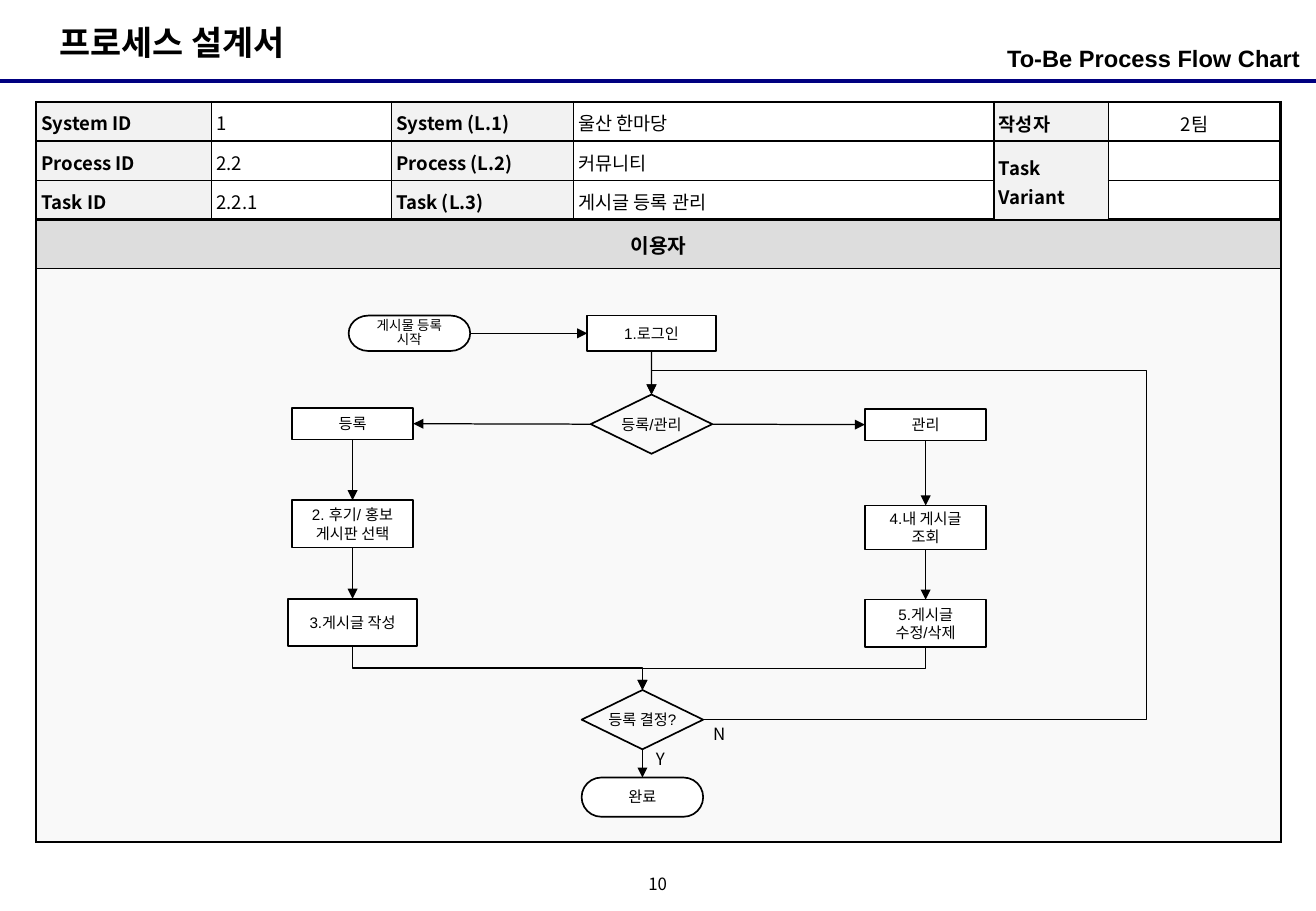
import lxml.etree
import pptx
import pptx.dml.color
import pptx.enum.shapes
import pptx.enum.text
import pptx.oxml.ns
import pptx.util

Cm = pptx.util.Cm
Pt = pptx.util.Pt
qn = pptx.oxml.ns.qn
RGBColor = pptx.dml.color.RGBColor
SHAPE = pptx.enum.shapes.MSO_SHAPE
CONNECTOR = pptx.enum.shapes.MSO_CONNECTOR
ALIGN = pptx.enum.text.PP_ALIGN
ANCHOR = pptx.enum.text.MSO_ANCHOR

BLACK = RGBColor(0x00, 0x00, 0x00)
WHITE = RGBColor(0xFF, 0xFF, 0xFF)
NAVY = RGBColor(0x00, 0x00, 0x80)
LABEL_GRAY = RGBColor(0xF2, 0xF2, 0xF2)
LANE_GRAY = RGBColor(0xDD, 0xDD, 0xDD)
LANE_BODY = RGBColor(0xF9, 0xF9, 0xF9)

KOREAN = "Noto Sans CJK KR"
LATIN = "Arial"
TOP, LEFT, BOTTOM, RIGHT = range(4)


def add_element(parent, tag, **attributes):
    return lxml.etree.SubElement(parent, qn(tag), attributes)


class ProcessSlide:
    """Holds the style and the current slide."""

    def __init__(self, presentation):
        self.slide = presentation.slides.add_slide(presentation.slide_layouts[6])
        self.shapes = self.slide.shapes

    def fill_text(self, frame, text, size, font=KOREAN, bold=False, align=ALIGN.LEFT,
                  spacing=None):
        frame.text = text
        for paragraph in frame.paragraphs:
            paragraph.alignment = align
            if spacing:
                paragraph.line_spacing = spacing
            for run in paragraph.runs:
                run.font.size = Pt(size)
                run.font.bold = bold
                run.font.name = font
                run.font.color.rgb = BLACK
                add_element(run.font._element, "a:ea", typeface=KOREAN)
            if not paragraph.runs:
                add_element(paragraph._p, "a:endParaRPr", sz=str(size * 100))

    def text(self, left, top, width, height, text, size, wrap=False, margins=None,
             anchor=ANCHOR.TOP, **style):
        frame = self.shapes.add_textbox(Cm(left), Cm(top), Cm(width), Cm(height)).text_frame
        frame.word_wrap = wrap
        frame.vertical_anchor = anchor
        if margins:
            frame.margin_left = frame.margin_right = Cm(margins[0])
            frame.margin_top = frame.margin_bottom = Cm(margins[1])
        self.fill_text(frame, text, size, **style)

    def node(self, kind, center, top, width, height, text, size=9, spacing=None):
        shape = self.shapes.add_shape(
            kind, Cm(center - width / 2), Cm(top), Cm(width), Cm(height))
        shape.shadow.inherit = False
        shape.line.color.rgb = BLACK
        shape.line.width = Pt(1)
        frame = shape.text_frame
        frame.vertical_anchor = ANCHOR.MIDDLE
        frame.margin_left = frame.margin_right = Cm(0.05)
        frame.margin_top = frame.margin_bottom = 0
        if kind == SHAPE.FLOWCHART_DECISION:
            shape.fill.background()
            frame.word_wrap = False
        else:
            shape.fill.solid()
            shape.fill.fore_color.rgb = WHITE
            frame.word_wrap = True
        self.fill_text(frame, text, size, LATIN, align=ALIGN.CENTER, spacing=spacing)
        return shape

    def line(self, begin, end, kind=CONNECTOR.STRAIGHT, color=BLACK, width=0.75, arrow=True):
        connector = self.shapes.add_connector(kind, *(int(value) for value in (*begin, *end)))
        connector.line.color.rgb = color
        connector.line.width = Pt(width)
        if arrow:
            add_element(connector.line._get_or_add_ln(), "a:tailEnd", type="triangle")
        add_element(connector._element.spPr, "a:effectLst")
        return connector

    def arrow(self, source, source_side, target, target_side):
        connector = self.line((0, 0), (0, 0))
        connector.begin_connect(source, source_side)
        connector.end_connect(target, target_side)

    def side(self, shape, side):
        x = {LEFT: 0, RIGHT: shape.width}.get(side, shape.width / 2)
        y = {TOP: 0, BOTTOM: shape.height}.get(side, shape.height / 2)
        return shape.left + x, shape.top + y

    def elbow_down(self, source, target):
        """Goes down, across and down again."""
        (x1, y1), (x2, y2) = self.side(source, BOTTOM), self.side(target, TOP)
        middle_x, middle_y = (x1 + x2) / 2, (y1 + y2) / 2
        half_width = (y2 - y1) / 2 * (1 if x2 < x1 else -1)
        half_height = abs(x2 - x1) / 2
        connector = self.line((middle_x - half_width, middle_y - half_height),
                              (middle_x + half_width, middle_y + half_height), CONNECTOR.ELBOW)
        angle = 90 if x2 < x1 else 270
        connector._element.spPr.find(qn("a:xfrm")).set("rot", str(angle * 60000))

    def loop_back(self, source, target, far_x, turn_y):
        """Goes right to far_x, up to turn_y, and back into the top of the target."""
        (x1, y1), (x2, y2) = self.side(source, RIGHT), self.side(target, TOP)
        connector = self.line((x1, y1), (x2, y2), CONNECTOR.ELBOW)
        geometry = connector._element.spPr.find(qn("a:prstGeom"))
        geometry.set("prst", "bentConnector4")
        ratios = (Cm(far_x) - x1) / (x2 - x1), (Cm(turn_y) - y1) / (y2 - y1)
        for number, ratio in enumerate(ratios, 1):
            add_element(geometry.find(qn("a:avLst")), "a:gd", name=f"adj{number}",
                        fmla=f"val {round(ratio * 100000)}")

    def table(self, left, top, widths, heights, inner):
        table = self.shapes.add_table(len(heights), len(widths), Cm(left), Cm(top),
                                      Cm(sum(widths)), Cm(sum(heights))).table
        table.first_row = table.horz_banding = False
        for column, width in zip(table.columns, widths):
            column.width = Cm(width)
        for row, height in zip(table.rows, heights):
            row.height = Cm(height)
        last_row, last_column = len(heights) - 1, len(widths) - 1
        for r in range(len(heights)):
            for c in range(len(widths)):
                properties = table.cell(r, c)._tc.get_or_add_tcPr()
                outer = {"L": c == 0, "R": c == last_column, "T": r == 0, "B": r == last_row}
                for edge, is_outer in outer.items():
                    width = Pt(1.5 if is_outer else inner)
                    border = add_element(properties, f"a:ln{edge}", w=str(int(width)))
                    fill = add_element(border, "a:solidFill")
                    add_element(fill, "a:srgbClr", val=str(BLACK))
        return table

    def cell(self, cell, text, size, fill=None, anchor=ANCHOR.TOP, **style):
        cell.margin_left = cell.margin_right = cell.margin_top = cell.margin_bottom = Cm(0.1)
        cell.vertical_anchor = anchor
        if fill is None:
            cell.fill.background()
        else:
            cell.fill.solid()
            cell.fill.fore_color.rgb = fill
        self.fill_text(cell.text_frame, text, size, **style)


def main():
    presentation = pptx.Presentation()
    presentation.slide_width, presentation.slide_height = Cm(27.51), Cm(19.05)
    page = ProcessSlide(presentation)

    # Heading and page number
    page.line((0, Cm(1.7)), (Cm(27.51), Cm(1.7)), color=NAVY, width=2.25, arrow=False)
    page.text(0.99, 0.33, 5.74, 1.12, "프로세스 설계서", 20, bold=True)
    page.text(18.77, 0.79, 8.41, 0.99, "To-Be Process Flow Chart", 14, wrap=True,
              margins=(0, 0.13), font=LATIN, bold=True, align=ALIGN.RIGHT)
    page.text(13.33, 18.21, 0.84, 0.64, "10", 10, margins=(0, 0), anchor=ANCHOR.MIDDLE,
              align=ALIGN.CENTER, spacing=0.8)

    # Lane for the user
    lane = page.table(0.76, 4.6, [26.01], [1.02, 11.98], inner=0.75)
    page.cell(lane.cell(0, 0), "이용자", 12, LANE_GRAY, ANCHOR.MIDDLE,
              bold=True, align=ALIGN.CENTER)
    page.cell(lane.cell(1, 0), "", 12, LANE_BODY)

    # Process details
    details = page.table(0.76, 2.13, [3.66, 3.76, 3.81, 8.79, 2.39, 3.6], [0.82] * 3, inner=1)
    details.cell(1, 4).merge(details.cell(2, 4))
    rows = [
        ["System ID", "1", "System (L.1)", "울산 한마당", "작성자", "2팀"],
        ["Process ID", "2.2", "Process (L.2)", "커뮤니티", "Task Variant", ""],
        ["Task ID", "2.2.1", "Task (L.3)", "게시글 등록 관리", "", ""],
    ]
    for r, row in enumerate(rows):
        for c, text in enumerate(row):
            is_label = c % 2 == 0
            page.cell(details.cell(r, c), text, 11, LABEL_GRAY if is_label else None,
                      ANCHOR.MIDDLE if c >= 4 else ANCHOR.TOP, bold=is_label,
                      align=ALIGN.CENTER if c == 5 else ALIGN.LEFT, spacing=1.1)

    # Steps
    box, decision, terminator = (
        SHAPE.RECTANGLE, SHAPE.FLOWCHART_DECISION, SHAPE.FLOWCHART_TERMINATOR)
    left, right = 7.37, 19.35
    start = page.node(terminator, 8.56, 6.6, 2.54, 0.74, "게시물 등록\n시작", 8, 0.9)
    login = page.node(box, 13.62, 6.6, 2.69, 0.74, "1.로그인")
    choice = page.node(decision, 13.62, 8.25, 2.54, 1.24, "등록/관리")
    register = page.node(box, left, 8.53, 2.54, 0.66, "등록")
    board = page.node(box, left, 10.46, 2.54, 0.99, "2. 후기/ 홍보 게시판 선택")
    post = page.node(box, left, 12.52, 2.69, 0.99, "3.게시글 작성")
    manage = page.node(box, right, 8.55, 2.54, 0.66, "관리")
    search = page.node(box, right, 10.57, 2.54, 0.92, "4.내 게시글\n조회")
    edit = page.node(box, right, 12.54, 2.54, 0.99, "5.게시글 수정/삭제")
    confirm = page.node(decision, 13.43, 14.43, 2.54, 1.24, "등록 결정?")
    done = page.node(terminator, 13.43, 16.26, 2.54, 0.82, "완료", spacing=0.9)

    # Flow
    page.arrow(start, RIGHT, login, LEFT)
    page.arrow(choice, LEFT, register, RIGHT)
    page.arrow(choice, RIGHT, manage, LEFT)
    for upper, lower in [(login, choice), (register, board), (board, post),
                         (manage, search), (search, edit), (confirm, done)]:
        page.arrow(upper, BOTTOM, lower, TOP)
    page.elbow_down(post, confirm)
    page.elbow_down(edit, confirm)
    page.loop_back(confirm, choice, far_x=23.97, turn_y=7.75)

    # Answers of the last decision
    page.text(14.66, 15.01, 0.79, 0.69, "N", 10)
    page.text(13.46, 15.52, 0.74, 0.69, "Y", 10)

    presentation.save("out.pptx")


if __name__ == "__main__":
    main()
